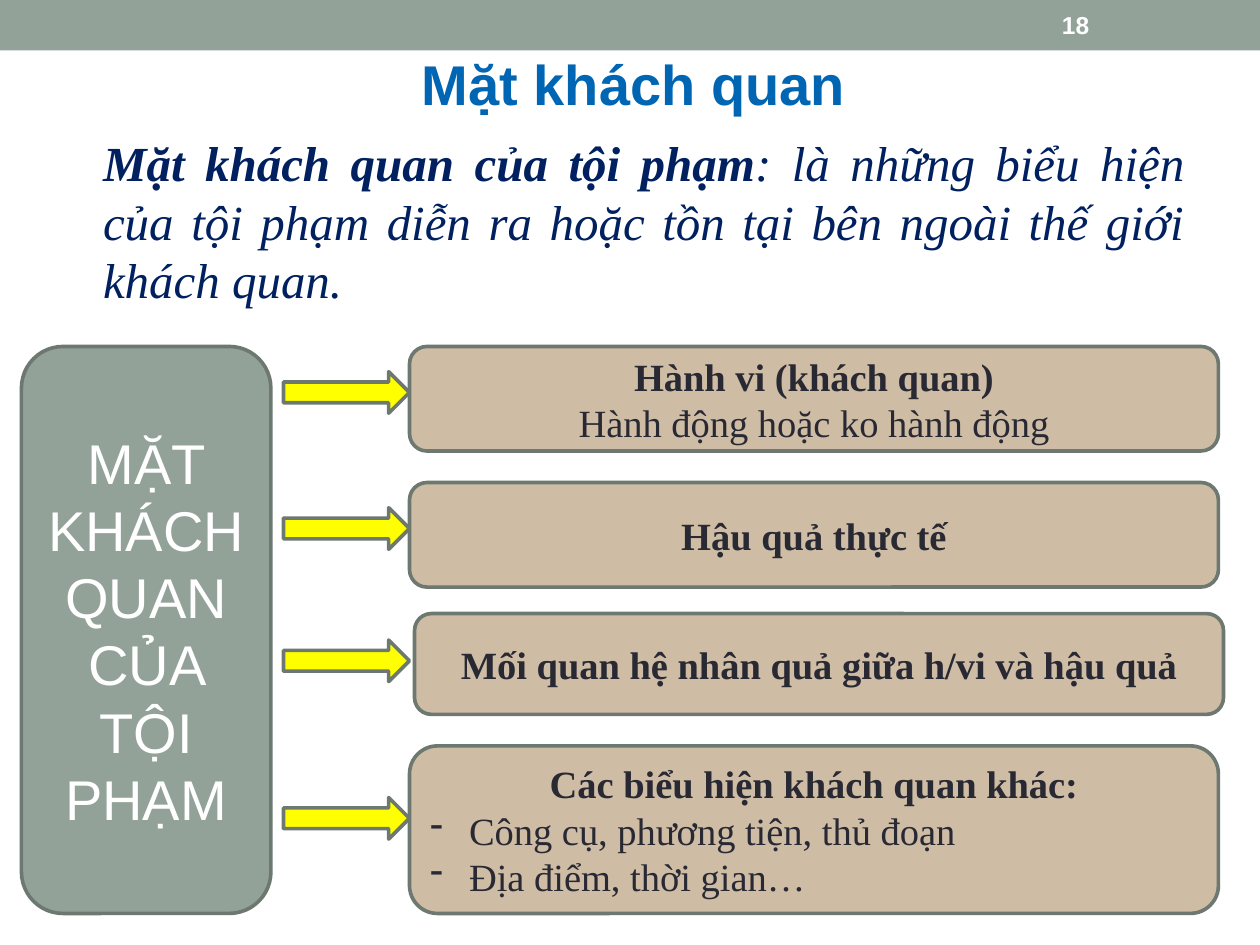
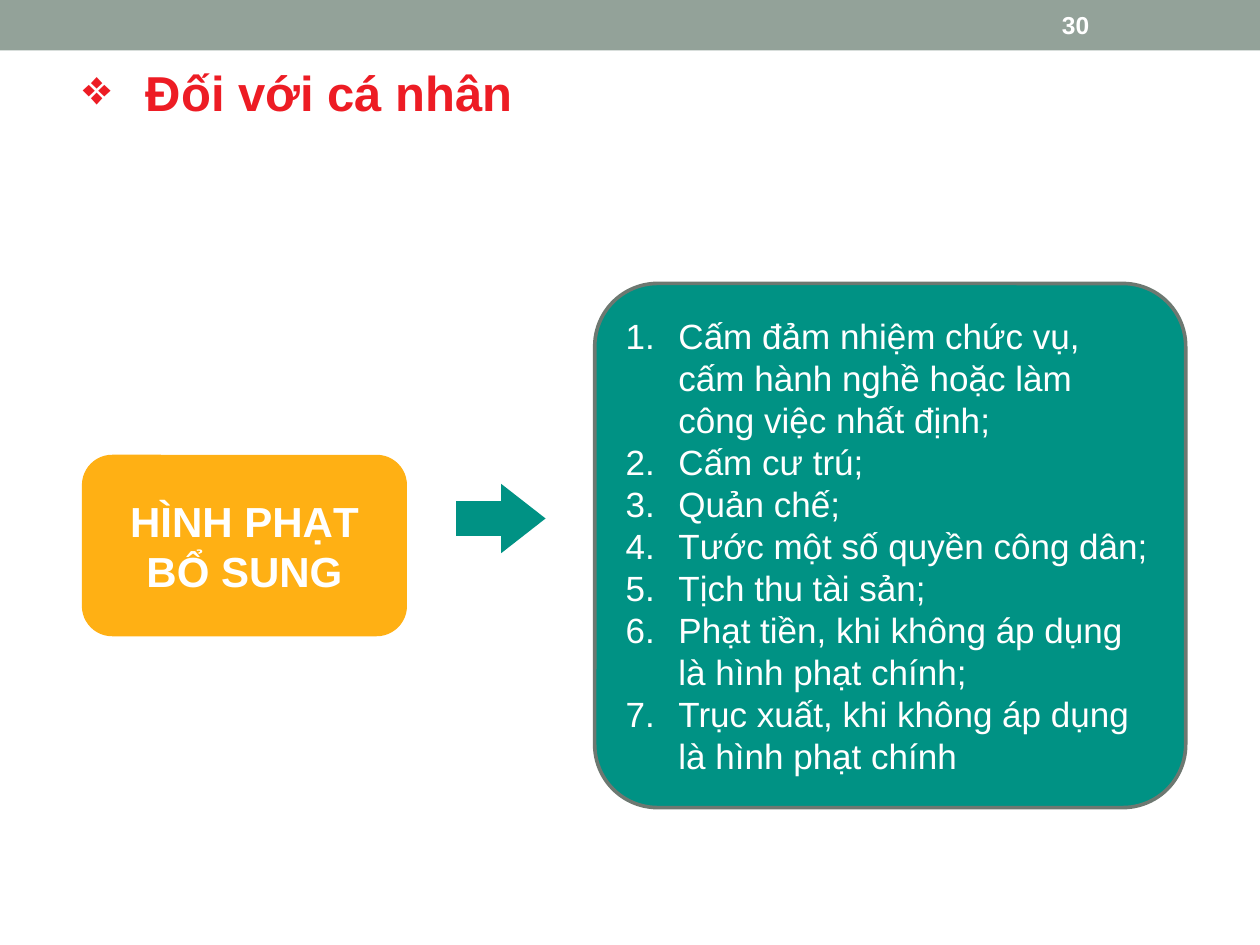
from dataclasses import dataclass, replace
from typing import Optional

from lxml.etree import SubElement
from pptx import Presentation
from pptx.dml.color import RGBColor
from pptx.enum.shapes import MSO_SHAPE
from pptx.enum.text import MSO_ANCHOR, PP_ALIGN
from pptx.oxml.ns import qn
from pptx.shapes.autoshape import Shape
from pptx.slide import Slide
from pptx.util import Inches, Pt


@dataclass(frozen=True)
class Theme:
    sage: str = "93A299"
    outline: str = "6D7871"
    tan: str = "CEBCA4"
    yellow: str = "FFFF00"
    teal: str = "009284"
    amber: str = "FFB014"
    white: str = "FFFFFF"
    ink: str = "292934"
    navy: str = "002060"
    blue: str = "0066B3"
    red: str = "ED1C24"
    sans: str = "Arial"
    serif: str = "Times New Roman"
    title_size: int = 32
    heading_size: int = 28
    label_size: int = 24
    aspect_size: int = 22
    list_size: int = 20
    number_size: int = 14
    outline_width: float = 2.08


THEME = Theme()


@dataclass(frozen=True)
class Area:
    left: float
    top: float
    width: float
    height: float

    def lengths(self) -> tuple:
        return tuple(Inches(v) for v in (self.left, self.top, self.width, self.height))


@dataclass(frozen=True)
class Style:
    size: int
    color: str
    font: str = THEME.sans
    bold: bool = False
    italic: bool = False


@dataclass(frozen=True)
class Paragraph:
    """A paragraph; lead is an opening passage set in bold."""
    text: str
    style: Style
    align: PP_ALIGN = PP_ALIGN.LEFT
    lead: str = ""
    margin: float = 0
    hanging: bool = False
    bullet: str = ""
    numbered: bool = False
    line_spacing: Optional[float] = None


@dataclass(frozen=True)
class Aspect:
    """One box on the right of the diagram, with the arrow that leads to it."""
    top: float
    height: float
    heading: str
    detail: str = ""
    items: tuple[str, ...] = ()
    left: float = 3.25
    arrow_drop: float = 0.2


def write(shape: Shape, paragraphs: list[Paragraph],
          anchor: MSO_ANCHOR = MSO_ANCHOR.MIDDLE) -> None:
    frame = shape.text_frame
    frame.word_wrap = True
    frame.vertical_anchor = anchor
    for index, content in enumerate(paragraphs):
        line = frame.add_paragraph() if index else frame.paragraphs[0]
        line.text = content.lead or content.text
        if content.lead:
            line.add_run().text = content.text
        line.alignment = content.align
        if content.line_spacing:
            line.line_spacing = content.line_spacing
        properties = line._p.get_or_add_pPr()
        if content.margin:
            properties.set("marL", str(Inches(content.margin)))
        if content.hanging:
            properties.set("indent", str(-Inches(content.margin)))
        if content.numbered:
            SubElement(properties, qn("a:buAutoNum"), type="arabicPeriod")
        elif content.bullet:
            SubElement(properties, qn("a:buChar"), char=content.bullet)
        for position, run in enumerate(line.runs):
            style = content.style
            run.font.name = style.font
            run.font.size = Pt(style.size)
            run.font.color.rgb = RGBColor.from_string(style.color)
            run.font.bold = style.bold or bool(content.lead and position == 0)
            run.font.italic = style.italic


def add_text(slide: Slide, area: Area, paragraph: Paragraph,
             anchor: MSO_ANCHOR = MSO_ANCHOR.MIDDLE) -> None:
    write(slide.shapes.add_textbox(*area.lengths()), [paragraph], anchor)


def add_panel(slide: Slide, kind: MSO_SHAPE, area: Area, fill: str,
              outlined: bool = True) -> Shape:
    panel = slide.shapes.add_shape(kind, *area.lengths())
    panel.shadow.inherit = False
    panel.fill.solid()
    panel.fill.fore_color.rgb = RGBColor.from_string(fill)
    if outlined:
        panel.line.color.rgb = RGBColor.from_string(THEME.outline)
        panel.line.width = Pt(THEME.outline_width)
    else:
        panel.line.fill.background()
    return panel


def add_base_slide(deck: Presentation, number: int) -> Slide:
    """Add a slide with the top band and its page number."""
    slide = deck.slides.add_slide(deck.slide_layouts[6])
    add_panel(slide, MSO_SHAPE.RECTANGLE, Area(0, 0, 10, 0.4), THEME.sage, outlined=False)
    add_text(slide, Area(8.33, 0.02, 1.17, 0.36),
             Paragraph(str(number), Style(THEME.number_size, THEME.white, bold=True)))
    return slide


def add_aspect(slide: Slide, aspect: Aspect) -> None:
    add_panel(slide, MSO_SHAPE.RIGHT_ARROW,
              Area(2.25, aspect.top + aspect.arrow_drop, 1, 0.33), THEME.yellow)
    box = add_panel(slide, MSO_SHAPE.ROUNDED_RECTANGLE,
                    Area(aspect.left, aspect.top, 6.42, aspect.height), THEME.tan)
    plain = Style(THEME.aspect_size, THEME.ink, THEME.serif)
    lines = [Paragraph(aspect.heading, replace(plain, bold=True), PP_ALIGN.CENTER)]
    if aspect.detail:
        lines.append(Paragraph(aspect.detail, plain, PP_ALIGN.CENTER))
    lines += [Paragraph(item, plain, PP_ALIGN.JUSTIFY, margin=0.31, hanging=True, bullet="-")
              for item in aspect.items]
    write(box, lines)


def build_objective_side(deck: Presentation) -> None:
    slide = add_base_slide(deck, 18)
    add_text(slide, Area(0.83, 0.08, 8.4, 1.23),
             Paragraph("Mặt khách quan", Style(THEME.title_size, THEME.blue, bold=True),
                       PP_ALIGN.CENTER, line_spacing=0.9))
    add_text(slide, Area(0.67, 1, 8.83, 1.51),
             Paragraph(": là những biểu hiện của tội phạm diễn ra hoặc tồn tại "
                       "bên ngoài thế giới khách quan.",
                       Style(THEME.heading_size, THEME.navy, THEME.serif, italic=True),
                       PP_ALIGN.JUSTIFY, lead="Mặt khách quan của tội phạm", margin=0.05),
             MSO_ANCHOR.TOP)
    subject = add_panel(slide, MSO_SHAPE.ROUNDED_RECTANGLE,
                        Area(0.17, 2.75, 1.98, 4.5), THEME.sage)
    write(subject, [Paragraph("MẶT KHÁCH QUAN CỦA TỘI PHẠM",
                              Style(THEME.title_size, THEME.white), PP_ALIGN.CENTER)])
    aspects = (
        Aspect(2.75, 0.83, "Hành vi (khách quan)", detail="Hành động hoặc ko hành động"),
        Aspect(3.83, 0.83, "Hậu quả thực tế"),
        Aspect(4.87, 0.8, "Mối quan hệ nhân quả giữa h/vi và hậu quả",
               left=3.29, arrow_drop=0.21),
        Aspect(5.92, 1.33, "Các biểu hiện khách quan khác:", arrow_drop=0.41,
               items=("Công cụ, phương tiện, thủ đoạn", "Địa điểm, thời gian…")),
    )
    for aspect in aspects:
        add_aspect(slide, aspect)


def build_additional_penalties(deck: Presentation) -> None:
    slide = add_base_slide(deck, 30)
    add_text(slide, Area(0.56, 0.5, 8.94, 0.92),
             Paragraph("Đối với cá nhân", Style(THEME.heading_size, THEME.red, bold=True),
                       margin=0.5, hanging=True, bullet="❖", line_spacing=0.9),
             MSO_ANCHOR.TOP)
    arrow = add_panel(slide, MSO_SHAPE.RIGHT_ARROW, Area(3.62, 3.84, 0.71, 0.55),
                      THEME.teal, outlined=False)
    arrow.adjustments[1] = 0.64
    category = add_panel(slide, MSO_SHAPE.ROUNDED_RECTANGLE, Area(0.65, 3.61, 2.58, 1.44),
                         THEME.amber, outlined=False)
    write(category, [Paragraph("HÌNH PHẠT BỔ SUNG",
                               Style(THEME.label_size, THEME.white, bold=True),
                               PP_ALIGN.CENTER)])
    penalties = (
        "Cấm đảm nhiệm chức vụ, cấm hành nghề hoặc làm công việc nhất định;",
        "Cấm cư trú;",
        "Quản chế;",
        "Tước một số quyền công dân;",
        "Tịch thu tài sản;",
        "Phạt tiền, khi không áp dụng là hình phạt chính;",
        "Trục xuất, khi không áp dụng là hình phạt chính",
    )
    penalty_list = add_panel(slide, MSO_SHAPE.ROUNDED_RECTANGLE,
                             Area(4.72, 2.25, 4.69, 4.16), THEME.teal)
    penalty_list.adjustments[0] = 0.12
    write(penalty_list, [Paragraph(penalty, Style(THEME.list_size, THEME.white),
                                   margin=0.42, hanging=True, numbered=True)
                         for penalty in penalties])


def main() -> None:
    deck = Presentation()
    deck.slide_width = Inches(10)
    deck.slide_height = Inches(7.5)
    build_objective_side(deck)
    build_additional_penalties(deck)
    deck.save("out.pptx")


if __name__ == "__main__":
    main()
